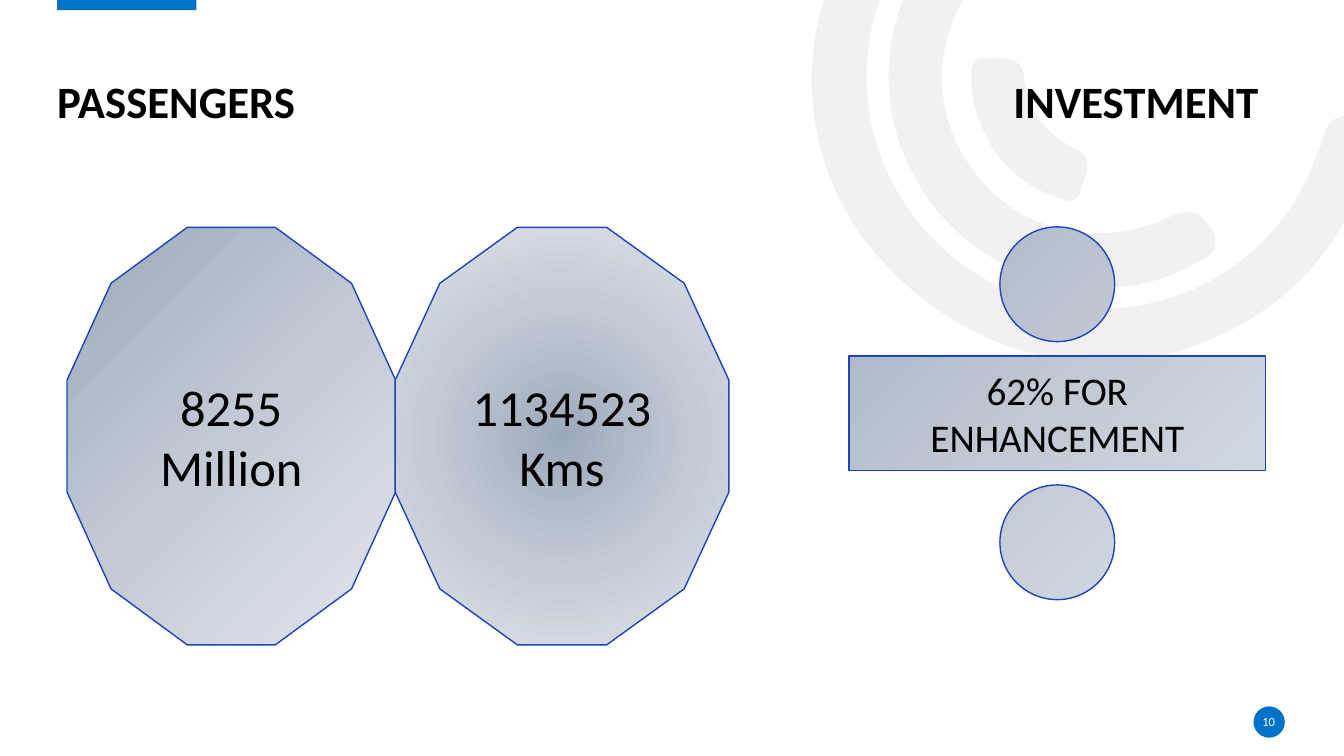
from dataclasses import dataclass

from lxml.etree import SubElement
from pptx import Presentation
from pptx.dml.color import RGBColor
from pptx.enum.shapes import MSO_SHAPE
from pptx.enum.text import MSO_ANCHOR, PP_ALIGN
from pptx.oxml import parse_xml
from pptx.oxml.ns import nsdecls, qn
from pptx.shapes.autoshape import Shape
from pptx.slide import Slide
from pptx.text.text import TextFrame
from pptx.util import Cm, Pt

BLACK = RGBColor(0x00, 0x00, 0x00)
WHITE = RGBColor(0xFF, 0xFF, 0xFF)
ACCENT = RGBColor(0x00, 0x72, 0xC7)
EDGE = RGBColor(0x1E, 0x44, 0xBC)
PALE = RGBColor(0xE7, 0xE6, 0xE6)
STOPS = (
    (0, RGBColor(0x9C, 0xA9, 0xBC)),
    (50, RGBColor(0xC3, 0xCA, 0xD5)),
    (100, RGBColor(0xE2, 0xE5, 0xEA)),
)
FONT = "Calibri"
OPACITY = 53
UNIT = Cm(2.54)  # arc points are in inches

Point = tuple[float, float]
Box = tuple[float, float, float, float]


@dataclass
class Arc:
    start: Point
    curves: list[tuple[float, ...]]


@dataclass
class Figure:
    kind: MSO_SHAPE
    box: Box
    text: str
    size: int
    shade: str


ARCS = [
    Arc((8.51, 2.29), [
        (7.99, 1.49, 7.87, 0.5, 8.38, -0.5),
        (8.9, -1.52, 9.76, -2.03, 10.9, -2.07),
        (11.05, -2.07, 11.21, -2.1, 11.31, -1.95),
        (11.44, -1.75, 11.27, -1.54, 10.98, -1.54),
        (9.67, -1.54, 8.65, -0.59, 8.6, 0.68),
        (8.56, 1.81, 9.36, 2.81, 10.46, 3.02),
        (11.6, 3.24, 12.7, 2.61, 13.07, 1.52),
        (13.09, 1.48, 13.11, 1.44, 13.12, 1.4),
        (13.16, 1.19, 13.27, 1.11, 13.49, 1.17),
        (13.73, 1.24, 13.67, 1.41, 13.61, 1.56),
        (13.34, 2.45, 12.78, 3.07, 11.91, 3.41),
        (10.7, 3.87, 9.36, 3.45, 8.51, 2.29),
    ]),
    Arc((9.22, 1.99), [
        (8.62, 1.15, 8.69, 0.07, 9.4, -0.68),
        (9.51, -0.79, 9.62, -0.95, 9.8, -0.78),
        (9.95, -0.64, 9.97, -0.5, 9.79, -0.32),
        (9.25, 0.26, 9.2, 1.08, 9.65, 1.68),
        (10.08, 2.29, 10.88, 2.49, 11.61, 2.15),
        (11.82, 2.05, 11.93, 2.12, 12.03, 2.29),
        (12.13, 2.5, 11.97, 2.56, 11.83, 2.63),
        (10.96, 3.1, 9.83, 2.82, 9.22, 1.99),
    ]),
    Arc((9.87, 1.51), [
        (9.75, 1.3, 9.64, 1.07, 9.64, 0.82),
        (9.64, 0.73, 9.61, 0.57, 9.76, 0.58),
        (9.92, 0.59, 10.13, 0.53, 10.16, 0.76),
        (10.21, 1.1, 10.36, 1.32, 10.67, 1.48),
        (10.88, 1.57, 10.76, 1.76, 10.72, 1.89),
        (10.68, 2.06, 10.55, 1.98, 10.45, 1.94),
        (10.21, 1.87, 10.03, 1.7, 9.87, 1.51),
    ]),
]

CORNER = '<a:path path="circle"><a:fillToRect r="100000" b="100000"/></a:path>'
CENTRE = ('<a:path path="circle">'
          '<a:fillToRect l="50000" t="50000" r="50000" b="50000"/></a:path>')
SLANT = '<a:lin ang="2700000" scaled="1"/>'

FIGURES = [
    Figure(MSO_SHAPE.DODECAGON, (1.69, 5.73, 8.28, 10.52),
           "8255\nMillion", 36, CORNER),
    Figure(MSO_SHAPE.DODECAGON, (9.96, 5.73, 8.41, 10.52),
           "1134523\nKms", 36, CENTRE),
    Figure(MSO_SHAPE.MATH_DIVIDE, (19.51, 4.27, 14.27, 12.29),
           "62% FOR ENHANCEMENT", 28, SLANT),
]


def style(frame: TextFrame, size: int, color: RGBColor,
          align: PP_ALIGN = PP_ALIGN.CENTER, bold: bool = False) -> None:
    for para in frame.paragraphs:
        para.alignment = align
        para.font.name = FONT
        para.font.size = Pt(size)
        para.font.bold = bold
        para.font.color.rgb = color


def clear(frame: TextFrame) -> None:
    """Remove the inner margins."""
    frame.margin_left = frame.margin_right = 0
    frame.margin_top = frame.margin_bottom = 0


def paint(shape: Shape, color: RGBColor) -> None:
    shape.shadow.inherit = False
    shape.fill.solid()
    shape.fill.fore_color.rgb = color
    shape.line.fill.background()


def bend(shape: Shape, arc: Arc) -> None:
    """Turn each straight side into its cubic curve."""
    sides = list(shape.element.iter(qn("a:lnTo")))
    for side, curve in zip(sides, arc.curves):
        side.tag = qn("a:cubicBezTo")
        side.clear()
        for x, y in zip(curve[::2], curve[1::2]):
            SubElement(side, qn("a:pt"),
                       x=str(round(x * UNIT) - shape.left),
                       y=str(round(y * UNIT) - shape.top))


def add_arc(slide: Slide, arc: Arc) -> None:
    x, y = arc.start
    pen = slide.shapes.build_freeform(x * UNIT, y * UNIT)
    ends = [(curve[4] * UNIT, curve[5] * UNIT) for curve in arc.curves]
    pen.add_line_segments(ends, close=True)
    shape = pen.convert_to_shape()
    bend(shape, arc)
    paint(shape, PALE)
    tint = shape.element.spPr.find(qn("a:solidFill"))[0]
    SubElement(tint, qn("a:alpha"), val=str(OPACITY * 1000))


def add_plain(slide: Slide, kind: MSO_SHAPE, box: Box) -> None:
    paint(slide.shapes.add_shape(kind, *map(Cm, box)), ACCENT)


def add_title(slide: Slide) -> None:
    title = slide.shapes.title
    title.left, title.top, title.width, title.height = map(
        Cm, (1.44, 0.67, 30.96, 2.57))
    frame = title.text_frame
    frame.text = "PASSENGERS\tINVESTMENT"
    frame.vertical_anchor = MSO_ANCHOR.BOTTOM
    clear(frame)
    para = frame.paragraphs[0]
    para.line_spacing = 0.9
    tabs = SubElement(para._p.get_or_add_pPr(), qn("a:tabLst"))
    SubElement(tabs, qn("a:tab"), pos=str(Cm(30.28)), algn="r")
    style(frame, 32, BLACK, PP_ALIGN.LEFT, True)


def add_number(slide: Slide) -> None:
    box = slide.shapes.add_textbox(*map(Cm, (31.57, 17.92, 0.81, 0.51)))
    frame = box.text_frame
    frame.text = "10"
    frame.word_wrap = True
    frame.vertical_anchor = MSO_ANCHOR.MIDDLE
    clear(frame)
    style(frame, 9, WHITE)


def add_figure(slide: Slide, fig: Figure) -> None:
    shape = slide.shapes.add_shape(fig.kind, *map(Cm, fig.box))
    shape.shadow.inherit = False
    shape.line.color.rgb = EDGE
    shape.line.width = Pt(1)
    stops = "".join(
        f'<a:gs pos="{pos * 1000}"><a:srgbClr val="{color}"/></a:gs>'
        for pos, color in STOPS)
    fill = parse_xml(f'<a:gradFill {nsdecls("a")} rotWithShape="1">'
                     f'<a:gsLst>{stops}</a:gsLst>{fig.shade}</a:gradFill>')
    shape.element.spPr.find(qn("a:prstGeom")).addnext(fill)
    frame = shape.text_frame
    frame.text = fig.text
    frame.word_wrap = True
    frame.vertical_anchor = MSO_ANCHOR.MIDDLE
    style(frame, fig.size, BLACK)


def main() -> None:
    deck = Presentation()
    deck.slide_width, deck.slide_height = Cm(33.87), Cm(19.05)
    slide = deck.slides.add_slide(deck.slide_layouts[5])
    for arc in ARCS:
        add_arc(slide, arc)
    add_plain(slide, MSO_SHAPE.RECTANGLE, (1.44, -0.05, 3.51, 0.31))
    add_plain(slide, MSO_SHAPE.OVAL, (31.59, 17.8, 0.79, 0.79))
    # The title stands in front of the arcs.
    slide.shapes.element.append(slide.shapes.title.element)
    add_title(slide)
    add_number(slide)
    for fig in FIGURES:
        add_figure(slide, fig)
    deck.save("out.pptx")


if __name__ == "__main__":
    main()
